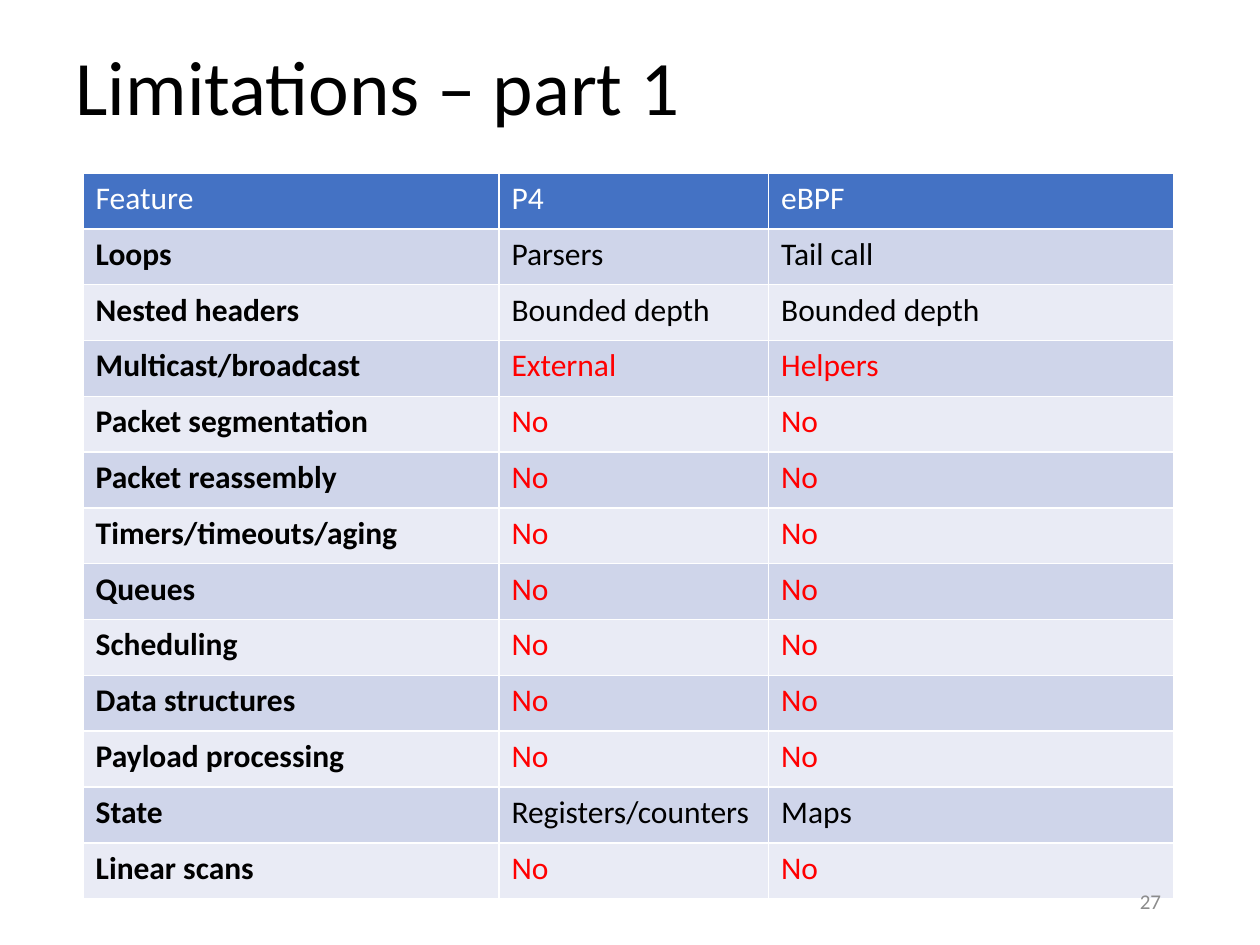
import pptx
import pptx.dml.color
import pptx.enum.text
import pptx.util

Pt = pptx.util.Pt

# Content
heading = "Limitations – part 1"
page_number = "27"
features = [
    ("Feature", "P4", "eBPF"),
    ("Loops", "Parsers", "Tail call"),
    ("Nested headers", "Bounded depth", "Bounded depth"),
    ("Multicast/broadcast", "External", "Helpers"),
    ("Packet segmentation", "No", "No"),
    ("Packet reassembly", "No", "No"),
    ("Timers/timeouts/aging", "No", "No"),
    ("Queues", "No", "No"),
    ("Scheduling", "No", "No"),
    ("Data structures", "No", "No"),
    ("Payload processing", "No", "No"),
    ("State", "Registers/counters", "Maps"),
    ("Linear scans", "No", "No"),
]
unsupported = {"No", "External", "Helpers"}

# Look
colors = {
    "text": "000000", "header_text": "FFFFFF", "unsupported": "FF0000",
    "page": "8C8C8C", "header": "4472C4", "odd": "CFD5EA", "even": "E9EBF5",
}
column_widths = [237.6, 154.1, 231.8]
row_height = 31.9


def rgb(name):
    return pptx.dml.color.RGBColor.from_string(colors[name])


def style(paragraph, color, **font_values):
    values = {"name": "Calibri", "bold": False, **font_values}
    for key, value in values.items():
        setattr(paragraph.font, key, value)
    paragraph.font.color.rgb = rgb(color)


def place(shape, left, top, width, height):
    box = {"left": left, "top": top, "width": width, "height": height}
    for key, value in box.items():
        setattr(shape, key, Pt(value))


deck = pptx.Presentation()
deck.slide_width, deck.slide_height = Pt(720), Pt(540)
slide = deck.slides.add_slide(deck.slide_layouts[5])

# Title
title = slide.shapes.title
place(title, 36, 19.5, 648, 64)
title.text_frame.text = heading
title.text_frame.vertical_anchor = pptx.enum.text.MSO_ANCHOR.MIDDLE
title_line = title.text_frame.paragraphs[0]
title_line.alignment = pptx.enum.text.PP_ALIGN.LEFT
title_line.line_spacing = 0.9
style(title_line, "text", size=Pt(44))

# Feature table: the built-in style supplies the white cell borders
comparison = slide.shapes.add_table(
    len(features), len(column_widths), Pt(47.5), Pt(98.9),
    Pt(sum(column_widths)), Pt(row_height * len(features))).table
for column, width in zip(comparison.columns, column_widths):
    column.width = Pt(width)
for r, feature in enumerate(features):
    comparison.rows[r].height = Pt(row_height)
    band = "header" if r == 0 else "odd" if r % 2 else "even"
    for c, wording in enumerate(feature):
        cell = comparison.cell(r, c)
        cell.text = wording
        cell.fill.solid()
        cell.fill.fore_color.rgb = rgb(band)
        ink = ("header_text" if r == 0
               else "unsupported" if wording in unsupported else "text")
        style(cell.text_frame.paragraphs[0], ink, size=Pt(18),
              bold=r > 0 and c == 0)

# Page number
page = slide.shapes.add_textbox(Pt(508.5), Pt(500.5), Pt(162), Pt(28.8))
page.text_frame.word_wrap = True
page.text_frame.vertical_anchor = pptx.enum.text.MSO_ANCHOR.MIDDLE
page.text_frame.text = page_number
page_line = page.text_frame.paragraphs[0]
page_line.alignment = pptx.enum.text.PP_ALIGN.RIGHT
style(page_line, "page", size=Pt(12))

deck.save("out.pptx")
